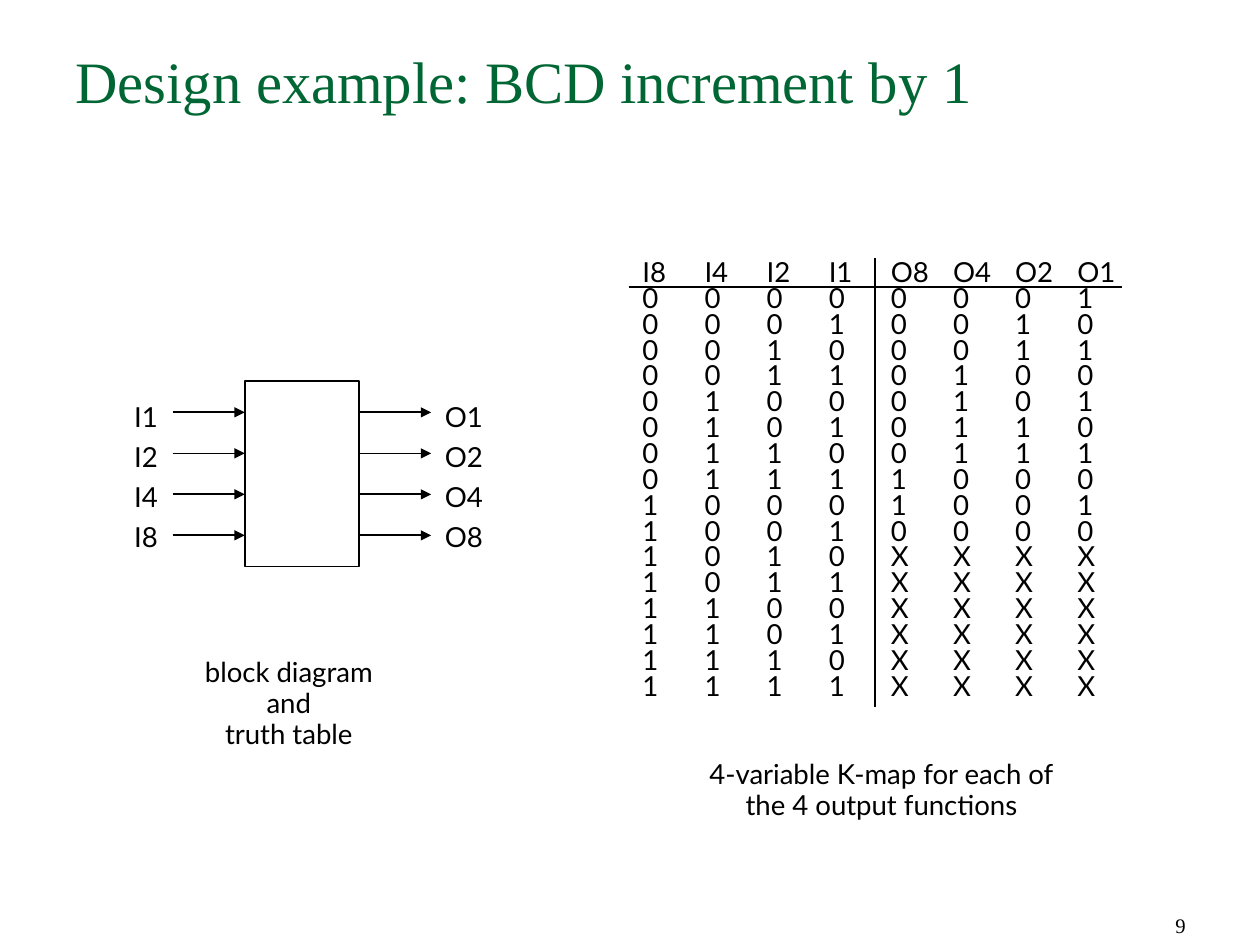
import pptx
import pptx.dml.color
import pptx.enum.shapes
import pptx.enum.text
import pptx.util
from lxml import etree
from pptx.oxml.ns import qn

Inches = pptx.util.Inches
Pt = pptx.util.Pt
ALIGN = pptx.enum.text.PP_ALIGN
ANCHOR = pptx.enum.text.MSO_ANCHOR

SANS, SERIF = "Lato", "Times New Roman"
BLACK, GREEN = "000000", "006633"
WEIGHTS = [8, 4, 2, 1]


def color(hex_string):
    return pptx.dml.color.RGBColor.from_string(hex_string)


def add_tab_stops(paragraph, stops):
    properties = paragraph._p.get_or_add_pPr()
    tab_list = etree.SubElement(properties, qn("a:tabLst"))
    for stop in stops:
        etree.SubElement(tab_list, qn("a:tab"), pos=str(Inches(stop)),
                         algn="l")


def add_text(shapes, box, lines, wrap=False, anchor=ANCHOR.TOP,
             margins=(0.02, 0.03), size=16, font=SANS, ink=BLACK,
             align=ALIGN.LEFT, spacing=None, tab_stops=()):
    text_box = shapes.add_textbox(*[Inches(length) for length in box])
    frame = text_box.text_frame
    frame.word_wrap = wrap
    frame.vertical_anchor = anchor
    frame.margin_left = frame.margin_right = Inches(margins[0])
    frame.margin_top = frame.margin_bottom = Inches(margins[1])
    for index, line in enumerate(lines):
        paragraph = frame.add_paragraph() if index else frame.paragraphs[0]
        if tab_stops:
            add_tab_stops(paragraph, tab_stops)
        paragraph.alignment = align
        if spacing is not None:
            paragraph.line_spacing = spacing
        run = paragraph.add_run()
        run.text = line
        run.font.size = Pt(size)
        run.font.name = font
        run.font.color.rgb = color(ink)


def add_line(shapes, x1, y1, x2, y2, arrow=False):
    connector = shapes.add_connector(
        pptx.enum.shapes.MSO_CONNECTOR.STRAIGHT,
        Inches(x1), Inches(y1), Inches(x2), Inches(y2))
    connector.line.color.rgb = color(BLACK)
    connector.line.width = Pt(1)
    properties = connector._element.spPr
    if arrow:
        line = properties.find(qn("a:ln"))
        etree.SubElement(line, qn("a:tailEnd"), type="triangle")
    etree.SubElement(properties, qn("a:effectLst"))


def add_title(slide, box):
    add_text(slide.shapes, box, ["Design example: BCD increment by 1"],
             wrap=True, margins=(0.1, 0.05), size=34, font=SERIF, ink=GREEN)


def add_slide_number(slide, box):
    add_text(slide.shapes, box, ["9"], wrap=True, anchor=ANCHOR.BOTTOM,
             margins=(0.1, 0.05), size=12, font=SERIF, align=ALIGN.RIGHT)


def add_caption(slide, box, lines):
    add_text(slide.shapes, box, lines, align=ALIGN.CENTER, spacing=Pt(18))


def add_block_diagram(slide, box):
    left, top, width, height = box
    input_width, output_width = 0.33, 0.5
    arrow_length, block_width = 0.58, 0.92
    block_left = left + input_width + arrow_length
    block_right = block_left + block_width
    shapes = slide.shapes.add_group_shape().shapes

    # Block
    block = shapes.add_shape(
        pptx.enum.shapes.MSO_SHAPE.RECTANGLE, Inches(block_left), Inches(top),
        Inches(block_width), Inches(height))
    block.shadow.inherit = False
    block.fill.background()
    block.line.color.rgb = color(BLACK)
    block.line.width = Pt(1)

    # Inputs and outputs
    sides = [("I", left, input_width, block_left - arrow_length),
             ("O", left + width - output_width, output_width, block_right)]
    for letter, label_left, label_width, arrow_left in sides:
        labels = [f"{letter}{weight}" for weight in reversed(WEIGHTS)]
        add_text(shapes, (label_left, top + 0.07, label_width, 1.33), labels,
                 spacing=1.2)
        for index in range(len(WEIGHTS)):
            y = top + 0.25 + 0.33 * index
            add_line(shapes, arrow_left, y, arrow_left + arrow_length, y,
                     arrow=True)


def truth_rows():
    rows = [[f"{letter}{weight}" for letter in "IO" for weight in WEIGHTS]]
    for number in range(16):
        outputs = f"{(number + 1) % 10:04b}" if number < 10 else "XXXX"
        rows.append(list(f"{number:04b}" + outputs))
    return rows


def add_truth_table(slide, box):
    left, top, width, height = box

    # Columns on tab stops: the rows are tighter than table cells can show
    rows = truth_rows()
    add_text(slide.shapes, (left + 0.09, top, width + 0.15, height + 0.07),
             ["\t".join(row) for row in rows], spacing=Pt(15),
             tab_stops=[0.5 * column for column in range(1, len(rows[0]))])

    # Rules below the header and between inputs and outputs
    header_y, middle_x = top + 0.23, left + 1.98
    add_line(slide.shapes, left, header_y, left + width, header_y)
    add_line(slide.shapes, middle_x, top, middle_x, top + height)


def main():
    presentation = pptx.Presentation()
    presentation.slide_width = Inches(10.14)
    presentation.slide_height = Inches(7.6)
    slide = presentation.slides.add_slide(presentation.slide_layouts[6])

    add_title(slide, (0.51, 0.31, 9.12, 1.26))
    add_block_diagram(slide, (1.06, 3.07, 3, 1.49))
    add_caption(slide, (1.36, 5.26, 1.93, 0.89),
                ["block diagram", "and", "truth table"])
    add_truth_table(slide, (5.06, 2.08, 3.97, 3.61))
    add_caption(slide, (5.33, 6.08, 3.53, 0.64),
                ["4-variable K-map for each of", "the 4 output functions"])
    add_slide_number(slide, (7.27, 7.09, 2.37, 0.51))

    presentation.save("out.pptx")


if __name__ == "__main__":
    main()
